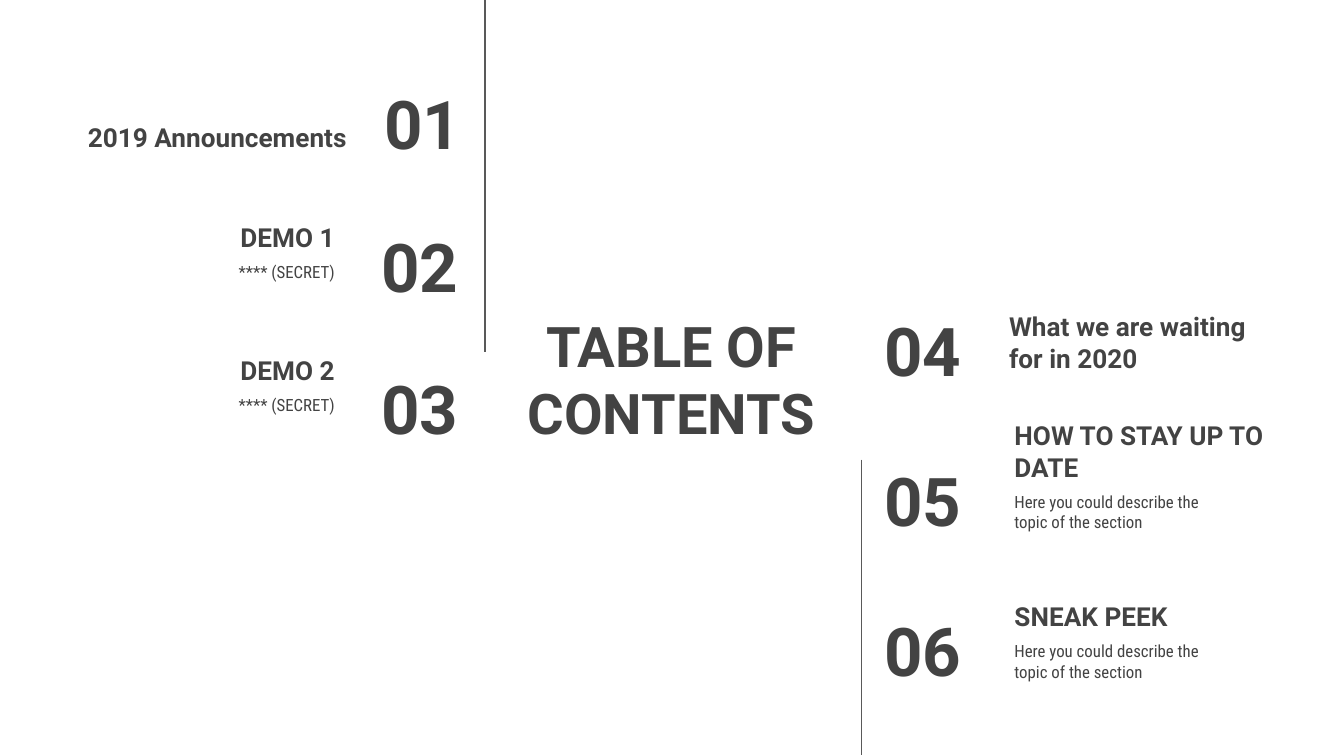
from lxml import etree
from pptx import Presentation
from pptx.dml.color import RGBColor
from pptx.enum.shapes import MSO_CONNECTOR
from pptx.enum.text import MSO_ANCHOR, MSO_AUTO_SIZE, PP_ALIGN
from pptx.oxml.ns import qn
from pptx.util import Inches, Pt

DARK = RGBColor(0x43, 0x43, 0x43)
GREY = RGBColor(0x59, 0x59, 0x59)

# 16:9 slide
prs = Presentation()
prs.slide_width = Inches(10)
prs.slide_height = Inches(10 * 9 / 16)
s = prs.slides.add_slide(prs.slide_layouts[5])


def set_text(sp, box, text, size, align, anchor, font="Roboto", bold=True):
    sp.left, sp.top, sp.width, sp.height = [Inches(v) for v in box]
    tf = sp.text_frame
    tf.text = text
    tf.word_wrap = True
    tf.auto_size = MSO_AUTO_SIZE.NONE
    tf.vertical_anchor = anchor
    tf.margin_left = tf.margin_right = Inches(0.1)
    tf.margin_top = tf.margin_bottom = Inches(0.1)
    p = tf.paragraphs[0]
    p.alignment = align
    r = p.runs[0]
    r.font.name, r.font.size, r.font.bold = font, Pt(size), bold
    r.font.color.rgb = DARK


def add_text(box, *style, **options):
    set_text(s.shapes.add_textbox(0, 0, 0, 0), box, *style, **options)


# Title
set_text(s.shapes.title, (3.7, 2.3, 2.59, 1.03), "TABLE OF CONTENTS", 30,
         PP_ALIGN.CENTER, MSO_ANCHOR.MIDDLE)

# Vertical dividers
for x, top, bottom in [(3.61, 0, 2.62), (6.41, 3.42, 5.62)]:
    line = s.shapes.add_connector(MSO_CONNECTOR.STRAIGHT, Inches(x), Inches(top),
                                  Inches(x), Inches(bottom))
    line.line.color.rgb = GREY
    line.line.width = Pt(0.75)
    etree.SubElement(line._element.spPr, qn("a:effectLst"))

# Sections: number, number left and top, heading left and top, heading, description
TOPIC = "Here you could describe the topic of the section"
SECTIONS = [
    ("01", 2.32, 0.6, 0.52, 0.61, "2019 Announcements", None),
    ("02", 2.3, 1.66, 0.43, 1.35, "DEMO 1", "**** (SECRET)"),
    ("03", 2.3, 2.72, 0.43, 2.34, "DEMO 2", "**** (SECRET)"),
    ("04", 6.48, 2.29, 7.41, 2.25, "What we are waiting for in 2020", None),
    ("05", 6.48, 3.4, 7.45, 3.06, "HOW TO STAY UP TO DATE", TOPIC),
    ("06", 6.48, 4.52, 7.45, 4.17, "SNEAK PEEK", TOPIC),
]
HEIGHT, HEAD_W, DESC_W, DESC_DROP = 0.63, 2.16, 1.83, 0.5

for number, num_x, num_y, x, y, heading, description in SECTIONS:
    on_left = x < 5
    align = PP_ALIGN.RIGHT if on_left else PP_ALIGN.LEFT
    add_text((num_x, num_y, 1.21 if on_left else 1.17, HEIGHT), number, 36,
             align, MSO_ANCHOR.MIDDLE)
    add_text((x, y, HEAD_W, HEIGHT), heading, 14, align, MSO_ANCHOR.BOTTOM)
    if description:
        desc_x = x + HEAD_W - DESC_W if on_left else x
        add_text((desc_x, y + DESC_DROP, DESC_W, HEIGHT), description, 9, align,
                 MSO_ANCHOR.TOP, font="Roboto Condensed", bold=False)

prs.save("out.pptx")
